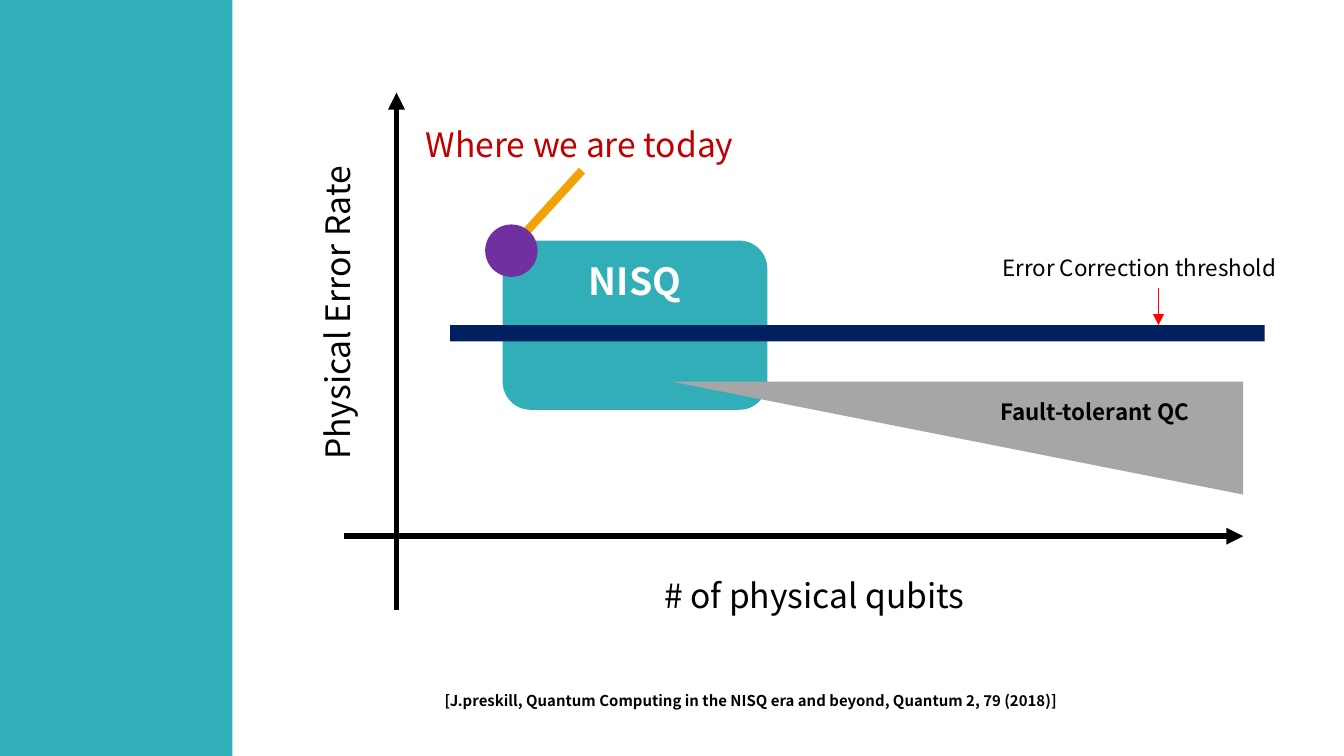
from dataclasses import dataclass

import pptx
import pptx.dml.color
import pptx.enum.shapes
import pptx.enum.text
import pptx.oxml.ns
import pptx.util
from lxml import etree

Inches = pptx.util.Inches
SHAPE = pptx.enum.shapes.MSO_SHAPE
ALIGN = pptx.enum.text.PP_ALIGN
ANCHOR = pptx.enum.text.MSO_ANCHOR

SLIDE_WIDTH = 10
SLIDE_HEIGHT = SLIDE_WIDTH * 9 / 16


@dataclass(frozen=True)
class Theme:
    font: str = "Noto Sans CJK KR"
    teal: str = "32AEB8"
    black: str = "000000"
    white: str = "FFFFFF"
    navy: str = "002060"
    purple: str = "7030A0"
    orange: str = "F2A207"
    red: str = "FF0000"
    dark_red: str = "C00000"
    gray: str = "A6A6A6"
    region: float = 20
    heading: float = 18
    label: float = 12
    citation: float = 8


THEME = Theme()


@dataclass(frozen=True)
class Box:
    left: float
    top: float
    width: float
    height: float

    def lengths(self) -> list:
        return [Inches(v) for v in (self.left, self.top, self.width, self.height)]


@dataclass(frozen=True)
class Label:
    text: str
    box: Box
    size: float
    color: str = THEME.black
    bold: bool = False
    align: ALIGN = ALIGN.LEFT
    upward: bool = False


@dataclass(frozen=True)
class Region:
    kind: SHAPE
    box: Box
    color: str
    rotation: float = 0


@dataclass(frozen=True)
class Line:
    start: tuple[float, float]
    end: tuple[float, float]
    color: str
    width: float
    arrow: bool = True


def rgb(color: str) -> pptx.dml.color.RGBColor:
    return pptx.dml.color.RGBColor.from_string(color)


def write(frame, text: str, size: float, color: str, bold: bool, align: ALIGN) -> None:
    frame.text = text
    paragraph = frame.paragraphs[0]
    paragraph.alignment = align
    font = paragraph.runs[0].font
    font.name, font.size, font.bold = THEME.font, pptx.util.Pt(size), bold
    font.color.rgb = rgb(color)


def draw_label(slide, label: Label) -> None:
    text_box = slide.shapes.add_textbox(*label.box.lengths())
    frame = text_box.text_frame
    frame.word_wrap = True
    frame.auto_size = pptx.enum.text.MSO_AUTO_SIZE.SHAPE_TO_FIT_TEXT
    write(frame, label.text, label.size, label.color, label.bold, label.align)
    if label.upward:
        # Vertical text turned half round reads from bottom to top
        text_box.rotation = 180
        text_box.element.txBody.bodyPr.set("vert", "eaVert")


def draw_region(slide, region: Region):
    shape = slide.shapes.add_shape(region.kind, *region.box.lengths())
    shape.shadow.inherit = False
    shape.fill.solid()
    shape.fill.fore_color.rgb = rgb(region.color)
    shape.line.fill.background()
    shape.rotation = region.rotation
    return shape


def draw_line(slide, line: Line) -> None:
    connector = slide.shapes.add_connector(
        pptx.enum.shapes.MSO_CONNECTOR.STRAIGHT,
        *[Inches(v) for v in line.start + line.end])
    connector.line.color.rgb = rgb(line.color)
    connector.line.width = pptx.util.Pt(line.width)
    qn = pptx.oxml.ns.qn
    if line.arrow:
        outline = connector.element.spPr.find(qn("a:ln"))
        etree.SubElement(outline, qn("a:tailEnd"), type="triangle")
    etree.SubElement(connector.element.spPr, qn("a:effectLst"))


def main() -> None:
    presentation = pptx.Presentation()
    presentation.slide_width = Inches(SLIDE_WIDTH)
    presentation.slide_height = Inches(SLIDE_HEIGHT)
    slide = presentation.slides.add_slide(presentation.slide_layouts[6])

    # Side band
    draw_region(slide, Region(SHAPE.RECTANGLE, Box(0, 0, 1.73, SLIDE_HEIGHT), THEME.teal))

    # Pointer to today's position, behind the NISQ region
    draw_line(slide, Line((3.81, 1.84), (4.33, 1.27), THEME.orange, 4.5, arrow=False))

    # Citation
    draw_label(slide, Label(
        "[J.preskill, Quantum Computing in the NISQ era and beyond, Quantum 2, 79 (2018)]",
        Box(2.48, 5.1, 6.22, 0.24), THEME.citation, bold=True, align=ALIGN.CENTER))

    # Axes with their titles
    draw_line(slide, Line((2.56, 3.99), (9.25, 3.99), THEME.black, 3))
    draw_line(slide, Line((2.95, 4.54), (2.95, 0.69), THEME.black, 3))
    draw_label(slide, Label("Physical Error Rate", Box(2.31, 0.61, 0.5, 2.91),
                            THEME.heading, upward=True))
    draw_label(slide, Label("# of physical qubits", Box(3.5, 4.23, 5.12, 0.4),
                            THEME.heading, align=ALIGN.CENTER))

    # NISQ region
    nisq = draw_region(slide, Region(
        SHAPE.ROUNDED_RECTANGLE, Box(3.74, 1.79, 1.97, 1.26), THEME.teal))
    nisq.text_frame.vertical_anchor = ANCHOR.TOP
    nisq.text_frame.margin_top = Inches(0.07)
    write(nisq.text_frame, "NISQ", THEME.region, THEME.white, True, ALIGN.CENTER)

    # Error correction threshold
    draw_region(slide, Region(SHAPE.RECTANGLE, Box(3.35, 2.42, 6.06, 0.12), THEME.navy))
    draw_label(slide, Label("Error Correction threshold", Box(7.36, 1.84, 2.52, 0.3),
                            THEME.label))
    draw_line(slide, Line((8.62, 2.14), (8.62, 2.42), THEME.red, 0.75))

    # Today's position
    draw_region(slide, Region(SHAPE.OVAL, Box(3.61, 1.67, 0.39, 0.39), THEME.purple))
    draw_label(slide, Label("Where we are today", Box(3.07, 0.87, 2.52, 0.4),
                            THEME.heading, THEME.dark_red))

    # Fault-tolerant region
    draw_region(slide, Region(
        SHAPE.RIGHT_TRIANGLE, Box(5, 2.84, 4.25, 0.84), THEME.gray, rotation=180))
    draw_label(slide, Label("Fault-tolerant QC", Box(7.28, 2.91, 1.73, 0.3),
                            THEME.label, bold=True, align=ALIGN.CENTER))

    presentation.save("out.pptx")


if __name__ == "__main__":
    main()
